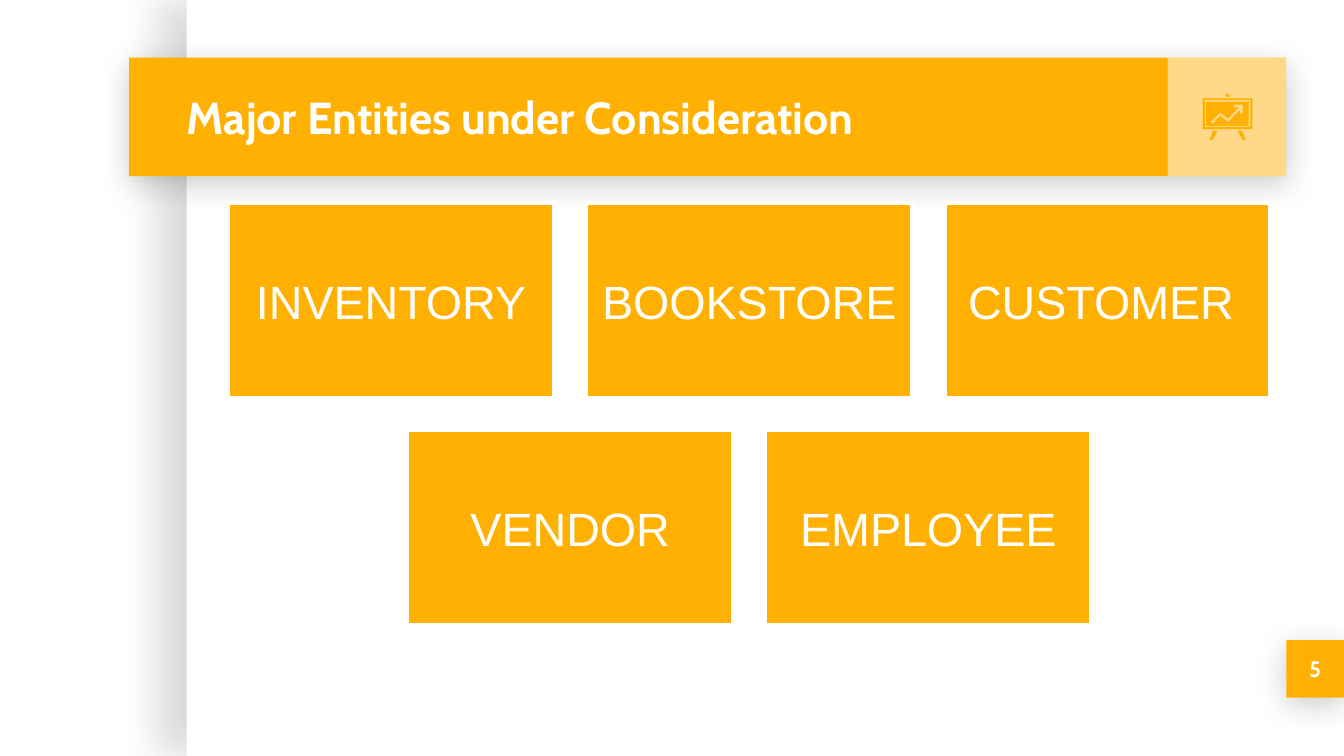
from dataclasses import dataclass
from typing import Optional

import lxml.etree
import pptx
import pptx.dml.color
import pptx.enum.shapes
import pptx.enum.text
import pptx.oxml.ns
import pptx.util

Cm = pptx.util.Cm
Pt = pptx.util.Pt
qn = pptx.oxml.ns.qn
ALIGN = pptx.enum.text.PP_ALIGN
AMBER = "FFB000"
WHITE = "FFFFFF"


@dataclass(frozen=True)
class Shadow:
    opacity: int
    blur: float
    distance: float
    angle: int


@dataclass(frozen=True)
class Panel:
    left: float
    top: float
    width: float
    height: float
    fill: str = AMBER
    opacity: int = 100
    shadow: Optional[Shadow] = None
    border: float = 0


@dataclass(frozen=True)
class Style:
    font: str
    size: int
    bold: bool = False
    align: ALIGN = ALIGN.CENTER


def paint(fill, colour: str) -> None:
    fill.solid()
    fill.fore_color.rgb = pptx.dml.color.RGBColor.from_string(colour)


def add_alpha(colour_element, opacity: int) -> None:
    lxml.etree.SubElement(colour_element, qn("a:alpha"), val=str(opacity * 1000))


def cast_shadow(shape, shadow: Shadow) -> None:
    effects = shape._element.spPr.find(qn("a:effectLst"))
    outer = lxml.etree.SubElement(
        effects, qn("a:outerShdw"), blurRad=str(Pt(shadow.blur)),
        dist=str(Pt(shadow.distance)), dir=str(shadow.angle * 60000),
        algn="bl", rotWithShape="0")
    colour = lxml.etree.SubElement(outer, qn("a:srgbClr"), val="000000")
    add_alpha(colour, shadow.opacity)


def draw_panel(shapes, panel: Panel):
    shape = shapes.add_shape(
        pptx.enum.shapes.MSO_SHAPE.RECTANGLE, Cm(panel.left), Cm(panel.top),
        Cm(panel.width), Cm(panel.height))
    shape.shadow.inherit = False
    paint(shape.fill, panel.fill)
    if panel.opacity < 100:
        add_alpha(shape._element.spPr.find(".//" + qn("a:srgbClr")), panel.opacity)
    if panel.border:
        paint(shape.line.fill, WHITE)
        shape.line.width = Pt(panel.border)
    else:
        shape.line.fill.background()
    if panel.shadow:
        cast_shadow(shape, panel.shadow)
    return shape


def write(box, text: str, style: Style) -> None:
    frame = box.text_frame
    frame.word_wrap = True
    frame.vertical_anchor = pptx.enum.text.MSO_ANCHOR.MIDDLE
    frame.margin_left = frame.margin_right = Cm(0.25)
    frame.margin_top = frame.margin_bottom = Cm(0.25)
    para = frame.paragraphs[0]
    para.alignment = style.align
    span = para.add_run()
    span.text = text
    span.font.name = style.font
    span.font.size = Pt(style.size)
    span.font.bold = style.bold
    paint(span.font.fill, WHITE)


def rectangle(left: int, top: int, right: int, bottom: int) -> list:
    return [(left, top), (right, top), (right, bottom), (left, bottom)]


def draw_outline(shapes, contours: list, left: float, top: float) -> None:
    builder = shapes.build_freeform(*contours[0][0], scale=Cm(0.01))
    builder.add_line_segments(contours[0][1:], close=True)
    for contour in contours[1:]:
        builder.move_to(*contour[0])
        builder.add_line_segments(contour[1:], close=True)
    shape = builder.convert_to_shape(Cm(left), Cm(top))
    shape.shadow.inherit = False
    paint(shape.fill, AMBER)
    shape.line.fill.background()


SIDE_SHADOW = Shadow(15, 22.5, 15, 180)
DROP_SHADOW = Shadow(20, 16.9, 3.8, 90)
HEADING = Style("Cabin", 24, True, ALIGN.LEFT)
NUMBER = Style("Cabin", 12, True)
ENTITY = Style("Arial", 25)

BAR_TOP, BAR_HEIGHT = 1.09, 2.24
CARD_WIDTH, CARD_HEIGHT = 6.15, 3.68
CARD_STEP, ROW_STEP = 6.77, 4.29
CARDS_CENTRE, CARDS_TOP = 14.16, 3.84
ENTITY_ROWS = [["INVENTORY", "BOOKSTORE", "CUSTOMER "], ["VENDOR", "EMPLOYEE"]]

ARROW = [(74, 20), (76, 22), (76, 37), (71, 37), (71, 30), (48, 53), (33, 41),
         (19, 56), (15, 52), (33, 35), (48, 46), (68, 25), (59, 25), (59, 20)]
EASEL = [
    [rectangle(0, 8, 94, 66), rectangle(4, 11, 90, 62)[::-1]],
    [rectangle(44, 0, 50, 5)],
    [[(20, 69), (13, 86), (18, 88), (28, 69)]],
    [[(66, 69), (76, 88), (81, 86), (74, 69)]],
    [rectangle(6, 14, 87, 60), ARROW[::-1]],
]


def main() -> None:
    deck = pptx.Presentation()
    deck.slide_width, deck.slide_height = Cm(25.4), Cm(14.29)
    page = deck.slides.add_slide(deck.slide_layouts[6])
    shapes = page.shapes

    draw_panel(shapes, Panel(3.53, 0, 21.87, 14.29, WHITE, shadow=SIDE_SHADOW))
    draw_panel(shapes, Panel(2.44, BAR_TOP, 21.87, BAR_HEIGHT, shadow=DROP_SHADOW))
    draw_panel(shapes, Panel(22.07, BAR_TOP, BAR_HEIGHT, BAR_HEIGHT, WHITE, 53))
    title = shapes.add_textbox(Cm(3.28), Cm(BAR_TOP), Cm(18.72), Cm(BAR_HEIGHT))
    write(title, "Major Entities under Consideration", HEADING)
    number = draw_panel(shapes, Panel(24.31, 12.1, 1.09, 1.09, shadow=DROP_SHADOW))
    write(number, "5", NUMBER)

    easel = shapes.add_group_shape()
    for contours in EASEL:
        draw_outline(easel.shapes, contours, 22.73, 1.78)

    cards = shapes.add_group_shape()
    for row, names in enumerate(ENTITY_ROWS):
        first = CARDS_CENTRE - ((len(names) - 1) * CARD_STEP + CARD_WIDTH) / 2
        for column, name in enumerate(names):
            card = draw_panel(cards.shapes, Panel(
                first + column * CARD_STEP, CARDS_TOP + row * ROW_STEP,
                CARD_WIDTH, CARD_HEIGHT, border=2))
            write(card, name, ENTITY)

    deck.save("out.pptx")


if __name__ == "__main__":
    main()
